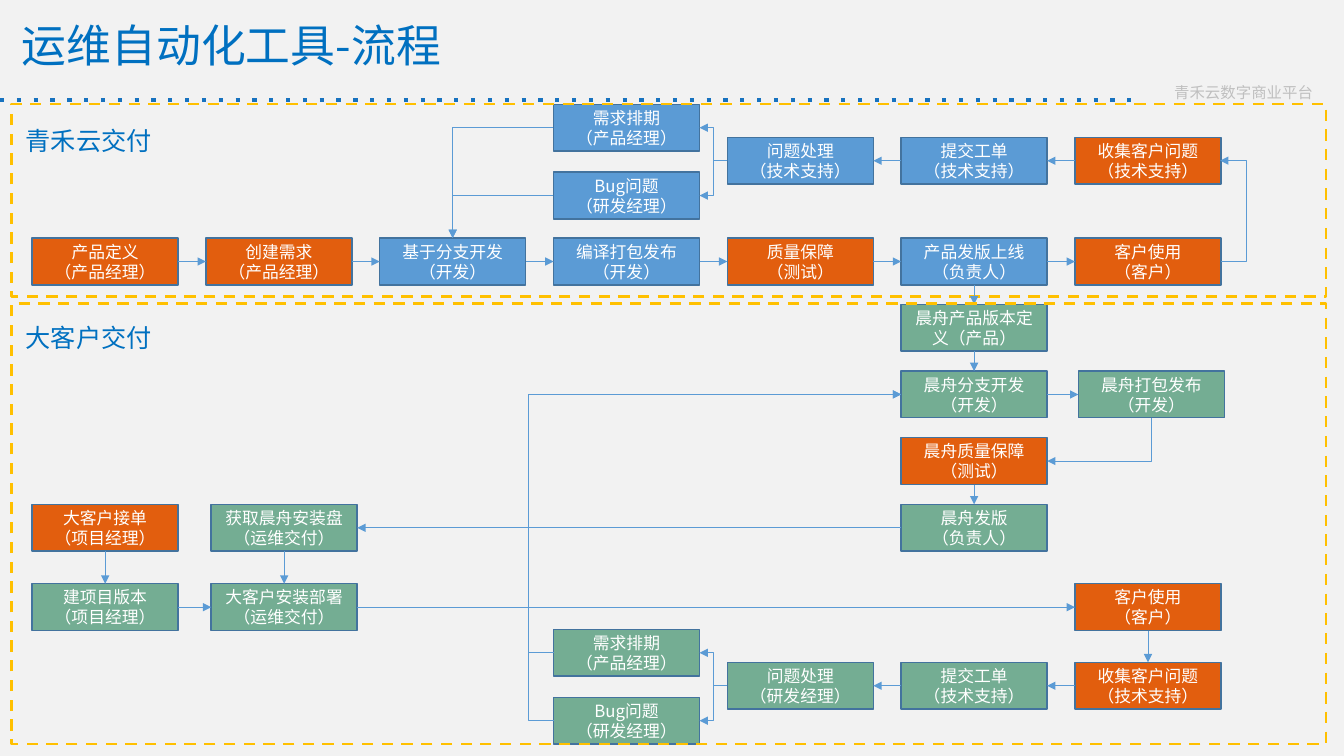
from lxml.etree import SubElement
from pptx import Presentation
from pptx.dml.color import RGBColor
from pptx.enum.dml import MSO_LINE
from pptx.enum.shapes import MSO_CONNECTOR, MSO_SHAPE
from pptx.enum.text import MSO_ANCHOR, PP_ALIGN
from pptx.oxml.ns import qn
from pptx.util import Cm, Pt

FONT = "Noto Sans CJK SC"
ORANGE, BLUE, GREEN = "E25E0E", "5B9BD5", "74AD93"
TOP, LEFT, BOTTOM, RIGHT = range(4)


def color(code):
    """Turn a hex string into a colour."""
    return RGBColor.from_string(code)


def write(frame, text, size, code, align=PP_ALIGN.LEFT):
    """Fill a text frame, one paragraph per line of text."""
    for index, line in enumerate(text.split("\n")):
        para = frame.add_paragraph() if index else frame.paragraphs[0]
        para.alignment = align
        run = para.add_run()
        run.text = line
        run.font.size = Pt(size)
        run.font.name = FONT
        run.font.color.rgb = color(code)
        SubElement(run._r.rPr, qn("a:ea")).set("typeface", FONT)


def label(slide, box, text, size, code, wrap=True):
    """Place a text box."""
    frame = slide.shapes.add_textbox(*map(Cm, box)).text_frame
    frame.word_wrap = wrap
    frame.vertical_anchor = MSO_ANCHOR.MIDDLE
    write(frame, text, size, code)


def step(slide, panel, col, row, fill, text):
    """Place a process step by column and height inside a panel."""
    x, y = panel[0] + 0.51 + 4.38 * col, panel[1] + row
    box = slide.shapes.add_shape(MSO_SHAPE.RECTANGLE, Cm(x), Cm(y), Cm(3.68), Cm(1.18))
    box.shadow.inherit = False
    box.fill.solid()
    box.fill.fore_color.rgb = color(fill)
    box.line.color.rgb = color("43739E")
    box.line.width = Pt(1)
    box.text_frame.word_wrap = True
    box.text_frame.vertical_anchor = MSO_ANCHOR.MIDDLE
    write(box.text_frame, text, 12, "FFFFFF", PP_ALIGN.CENTER)
    return box


def side(box, site):
    """Give the middle point of one side of a step."""
    x, y = box.left + box.width // 2, box.top + box.height // 2
    return {TOP: (x, box.top), LEFT: (box.left, y),
            BOTTOM: (x, box.top + box.height), RIGHT: (box.left + box.width, y)}[site]


def wire(slide, kind, start, end, code=BLUE, width=0.5):
    """Draw a plain connector and return it with its line element."""
    link = slide.shapes.add_connector(kind, *start, *end)
    link.line.color.rgb = color(code)
    link.line.width = Pt(width)
    props = link._element.spPr
    SubElement(props, qn("a:effectLst"))
    return link, props.find(qn("a:ln"))


def arrow(slide, first, out, last, into):
    """Join two steps with a straight arrow."""
    link, line = wire(slide, MSO_CONNECTOR.STRAIGHT, side(first, out), side(last, into))
    link.begin_connect(first, out)
    link.end_connect(last, into)
    SubElement(line, qn("a:tailEnd")).set("type", "triangle")


def elbow(slide, start, end, bend=0.5, corner=False, tip="a:tailEnd"):
    """Draw a bent arrow, with one corner or with two at a share of its width."""
    link, line = wire(slide, MSO_CONNECTOR.ELBOW, start, end)
    SubElement(line, qn(tip)).set("type", "triangle")
    geom = link._element.spPr.find(qn("a:prstGeom"))
    if corner:
        geom.set("prst", "bentConnector2")
    elif bend != 0.5:
        guide = SubElement(geom.find(qn("a:avLst")), qn("a:gd"))
        guide.set("name", "adj1")
        guide.set("fmla", f"val {round(bend * 100000)}")


def chain(slide, steps, out=RIGHT, into=LEFT):
    """Join each step to the next."""
    for first, last in zip(steps, steps[1:]):
        arrow(slide, first, out, last, into)


def support(slide, panel, row, fill, role):
    """Draw the customer issue steps; return the first and the final two."""
    steps = [step(slide, panel, col, row, shade, text) for col, shade, text in (
        (6, ORANGE, "收集客户问题\n（技术支持）"),
        (5, fill, "提交工单\n（技术支持）"),
        (4, fill, f"问题处理\n（{role}）"))]
    chain(slide, steps, LEFT, RIGHT)
    ends = [step(slide, panel, 3, row + shift, fill, text) for shift, text in (
        (-0.83, "需求排期\n（产品经理）"), (0.88, "Bug问题\n（研发经理）"))]
    for box in ends:
        elbow(slide, side(steps[2], LEFT), side(box, RIGHT))
    return steps[0], ends


def border(slide, panel, title, box):
    """Draw the dashed frame of a panel and its heading."""
    edge = slide.shapes.add_shape(MSO_SHAPE.RECTANGLE, *map(Cm, panel))
    edge.shadow.inherit = False
    edge.fill.background()
    edge.line.color.rgb = color("FFC000")
    edge.line.width = Pt(2)
    edge.line.dash_style = MSO_LINE.DASH
    x, y, width, height = box
    label(slide, (panel[0] + x, panel[1] + y, width, height), title, 18, "0070C0")


def cloud(slide, panel):
    """Draw the cloud delivery panel and return its release step."""
    flow = [step(slide, panel, col, 3.38, fill, text) for col, (fill, text) in enumerate((
        (ORANGE, "产品定义\n（产品经理）"),
        (ORANGE, "创建需求\n（产品经理）"),
        (BLUE, "基于分支开发\n（开发）"),
        (BLUE, "编译打包发布（开发）"),
        (ORANGE, "质量保障\n（测试）"),
        (BLUE, "产品发版上线\n（负责人）"),
        (ORANGE, "客户使用\n（客户）")))]
    chain(slide, flow)
    collect, ends = support(slide, panel, 0.84, BLUE, "技术支持")
    for box in ends:
        elbow(slide, side(box, LEFT), side(flow[2], TOP), corner=True)
    x, y = side(collect, RIGHT)
    elbow(slide, side(flow[6], RIGHT), (x - Cm(0.02), y), bend=-32)
    border(slide, panel, "青禾云交付", (0.1, 0.41, 4.4, 1.02))
    return flow[5]


def client(slide, panel, release):
    """Draw the key client delivery panel, fed by the release step."""
    define, branch, test, ship = [
        step(slide, panel, 5, 0.02 + 1.68 * index, fill, text)
        for index, (fill, text) in enumerate((
            (GREEN, "晨舟产品版本定义（产品）"),
            (GREEN, "晨舟分支开发（开发）"),
            (ORANGE, "晨舟质量保障\n（测试）"),
            (GREEN, "晨舟发版\n（负责人）")))]
    pack = step(slide, panel, 6.02, 1.7, GREEN, "晨舟打包发布（开发）")
    order = step(slide, panel, 0, 5.06, ORANGE, "大客户接单\n（项目经理）")
    build = step(slide, panel, 0, 7.06, GREEN, "建项目版本\n（项目经理）")
    fetch = step(slide, panel, 1.03, 5.06, GREEN, "获取晨舟安装盘（运维交付）")
    deploy = step(slide, panel, 1.03, 7.06, GREEN, "大客户安装部署（运维交付）")
    usage = step(slide, panel, 6, 7.06, ORANGE, "客户使用\n（客户）")
    collect, ends = support(slide, panel, 9.04, GREEN, "研发经理")
    for pair in ((release, define, branch), (test, ship), (order, build),
                 (fetch, deploy), (usage, collect)):
        chain(slide, pair, BOTTOM, TOP)
    chain(slide, (build, deploy, usage))
    arrow(slide, branch, RIGHT, pack, LEFT)
    arrow(slide, ship, LEFT, fetch, RIGHT)
    elbow(slide, side(test, RIGHT), side(pack, BOTTOM), corner=True, tip="a:headEnd")
    for box in ends:
        elbow(slide, side(box, LEFT), side(branch, LEFT), bend=-0.073)
    border(slide, panel, "大客户交付", (0.1, 0.35, 4.72, 1.02))


def header(slide, box):
    """Draw the title, the dotted rule and the platform name."""
    x, y, width, height = box
    label(slide, (x + 29.34, y + 1.96, 4.04, 0.74), "青禾云数字商业平台", 11, "BFBFBF", False)
    label(slide, (x + 0.3, y - 0.08, 12.55, 2.41), "运维自动化工具-流程", 32, "0070C0")
    start, end = (Cm(x), Cm(y + height)), (Cm(x + width), Cm(y + height))
    line = wire(slide, MSO_CONNECTOR.STRAIGHT, start, end, "1772BF", 3)[1]
    SubElement(line, qn("a:prstDash")).set("val", "dot")


def main():
    """Build and save the slide."""
    deck = Presentation()
    deck.slide_width, deck.slide_height = Cm(33.87), Cm(19.05)
    slide = deck.slides.add_slide(deck.slide_layouts[6])
    slide.background.fill.solid()
    slide.background.fill.fore_color.rgb = color("F2F2F2")
    header(slide, (0, 0, 28.75, 2.52))
    release = cloud(slide, (0.3, 2.62, 33.12, 4.85))
    client(slide, (0.3, 7.65, 33.12, 11.1), release)
    deck.save("out.pptx")


if __name__ == "__main__":
    main()
